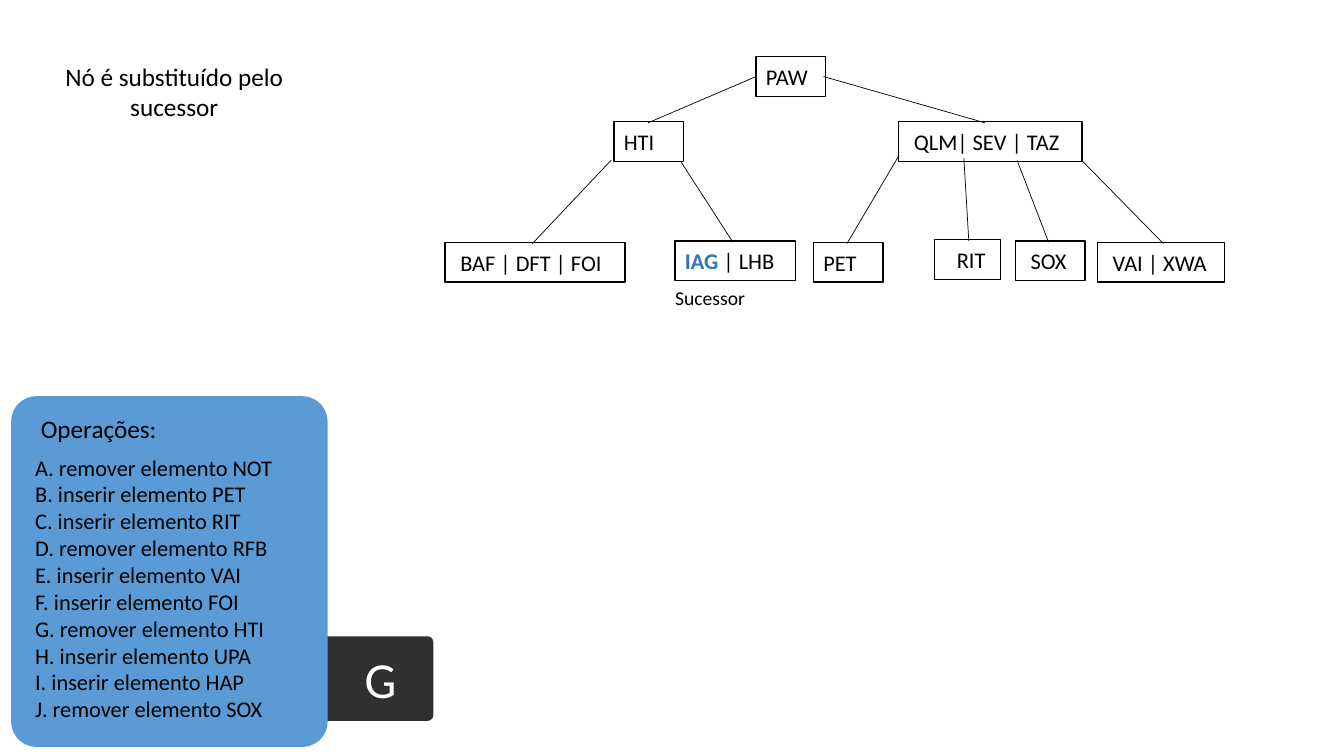
from dataclasses import dataclass

from lxml.etree import SubElement
from pptx import Presentation
from pptx.dml.color import RGBColor as Rgb
from pptx.enum.shapes import MSO_CONNECTOR as Connector, MSO_SHAPE as Preset
from pptx.enum.text import MSO_ANCHOR as Anchor, MSO_AUTO_SIZE as AutoSize, PP_ALIGN as Align
from pptx.oxml.ns import qn
from pptx.util import Pt


@dataclass(frozen=True)
class Theme:
    font: str = "Calibri"
    ink: str = "000000"
    paper: str = "FFFFFF"
    panel: str = "5B9BD5"
    badge: str = "2F3031"
    successor: str = "2E75B6"
    heading: int = 18
    body: int = 16
    caption: int = 14
    letter: int = 36
    border: float = 1
    link: float = 0.5


THEME = Theme()

HEADLINE = ["Nó é substituído pelo", "sucessor"]
OPERATIONS_HEADING = "Operações:"
OPERATIONS = [
    "A. remover elemento NOT",
    "B. inserir elemento PET",
    "C. inserir elemento RIT",
    "D. remover elemento RFB",
    "E. inserir elemento VAI",
    "F. inserir elemento FOI",
    "G. remover elemento HTI",
    "H. inserir elemento UPA",
    "I. inserir elemento HAP",
    "J. remover elemento SOX",
]
CURRENT_STEP = "G"
SUCCESSOR = "IAG"
SUCCESSOR_CAPTION = "Sucessor"

NODE_HEIGHT = 28.3
# label: left, top, width, text inset
NODES = {
    "PAW": (540, 40.5, 49.7, 7.2),
    "HTI": (438.5, 87, 49.7, 7.2),
    "QLM| SEV | TAZ": (642, 87, 131, 10.8),
    "BAF | DFT | FOI": (318, 173.3, 128.5, 10.8),
    "IAG | LHB": (482.2, 172.3, 86, 7.2),
    "PET": (581, 173.3, 49.7, 7.2),
    "RIT": (667.5, 171.3, 47, 16),
    "SOX": (725.3, 172.3, 49.7, 10.8),
    "VAI | XWA": (784, 173.3, 90.8, 10.8),
}
# child: parent end x, parent end y, child end x
LINKS = {
    "HTI": (540, 54.7, 463),
    "QLM| SEV | TAZ": (588.3, 54.7, 703.5),
    "BAF | DFT | FOI": (436.5, 114.5, 380.3),
    "IAG | LHB": (486.7, 116, 523.5),
    "PET": (642.2, 111, 605),
    "RIT": (688.5, 113, 692),
    "SOX": (726.5, 114.5, 749),
    "VAI | XWA": (773.3, 115.2, 831),
}


def write(frame, lines, size=THEME.body, color=THEME.ink, align=Align.LEFT,
          anchor=Anchor.TOP, inset=7.2, wrap=True, accent=None):
    frame.auto_size = AutoSize.NONE
    frame.word_wrap = wrap
    frame.vertical_anchor = anchor
    frame.margin_left, frame.margin_right = Pt(inset), Pt(7.2)
    frame.margin_top = frame.margin_bottom = Pt(3.6)
    for index, line in enumerate(lines):
        paragraph = frame.add_paragraph() if index else frame.paragraphs[0]
        paragraph.alignment = align
        paragraph.line_spacing = 1.0
        paragraph.space_before = Pt(0)
        pieces = [(line, False)]
        if accent and line.startswith(accent):
            pieces = [(accent, True), (line[len(accent):], False)]
        for words, accented in pieces:
            run = paragraph.add_run()
            run.text = words
            run.font.name = THEME.font
            run.font.size = Pt(size)
            run.font.bold = accented
            run.font.color.rgb = Rgb.from_string(THEME.successor if accented else color)


def add_text(slide, box, lines, **style):
    write(slide.shapes.add_textbox(*map(Pt, box)).text_frame, lines, **style)


def add_block(slide, preset, box, fill, border=None, radius=None):
    block = slide.shapes.add_shape(preset, *map(Pt, box))
    block.shadow.inherit = False
    block.fill.solid()
    block.fill.fore_color.rgb = Rgb.from_string(fill)
    if border:
        block.line.color.rgb = Rgb.from_string(border)
        block.line.width = Pt(THEME.border)
    else:
        block.line.fill.background()
    if radius:
        block.adjustments[0] = radius
    return block


def add_link(slide, *ends):
    link = slide.shapes.add_connector(Connector.STRAIGHT, *map(Pt, ends))
    link.line.color.rgb = Rgb.from_string(THEME.ink)
    link.line.width = Pt(THEME.link)
    SubElement(link._element.spPr, qn("a:effectLst"))


def add_operations(slide):
    badge = add_block(slide, Preset.ROUNDED_RECTANGLE, (211, 454.5, 98.6, 60.5),
                      THEME.badge, radius=0.07)
    write(badge.text_frame, [CURRENT_STEP], size=THEME.letter, color=THEME.paper,
          align=Align.CENTER, anchor=Anchor.MIDDLE, inset=30, wrap=False)
    add_block(slide, Preset.ROUNDED_RECTANGLE, (8, 283, 226, 250.5), THEME.panel, radius=0.08)
    add_text(slide, (18, 291.6, 200, 29), [OPERATIONS_HEADING], size=THEME.heading, inset=11.2)
    add_text(slide, (18, 320.5, 206.5, 201), OPERATIONS)


def add_tree(slide):
    for label, (left, top, width, inset) in NODES.items():
        node = add_block(slide, Preset.RECTANGLE, (left, top, width, NODE_HEIGHT),
                         THEME.paper, border=THEME.ink)
        write(node.text_frame, [label], anchor=Anchor.MIDDLE, inset=inset,
              wrap=False, accent=SUCCESSOR)
    for child, (start_x, start_y, end_x) in LINKS.items():
        add_link(slide, start_x, start_y, end_x, NODES[child][1] + 0.7)
    add_text(slide, (463, 201, 88.5, 24.5), [SUCCESSOR_CAPTION],
             size=THEME.caption, align=Align.CENTER)


def main():
    deck = Presentation()
    deck.slide_width, deck.slide_height = Pt(960), Pt(540)
    slide = deck.slides.add_slide(deck.slide_layouts[5])
    headline = slide.shapes.title
    headline.left, headline.top, headline.width, headline.height = map(Pt, (24.5, 40.3, 200, 51))
    write(headline.text_frame, HEADLINE, size=THEME.heading, align=Align.CENTER)
    add_operations(slide)
    add_tree(slide)
    deck.save("out.pptx")


if __name__ == "__main__":
    main()
